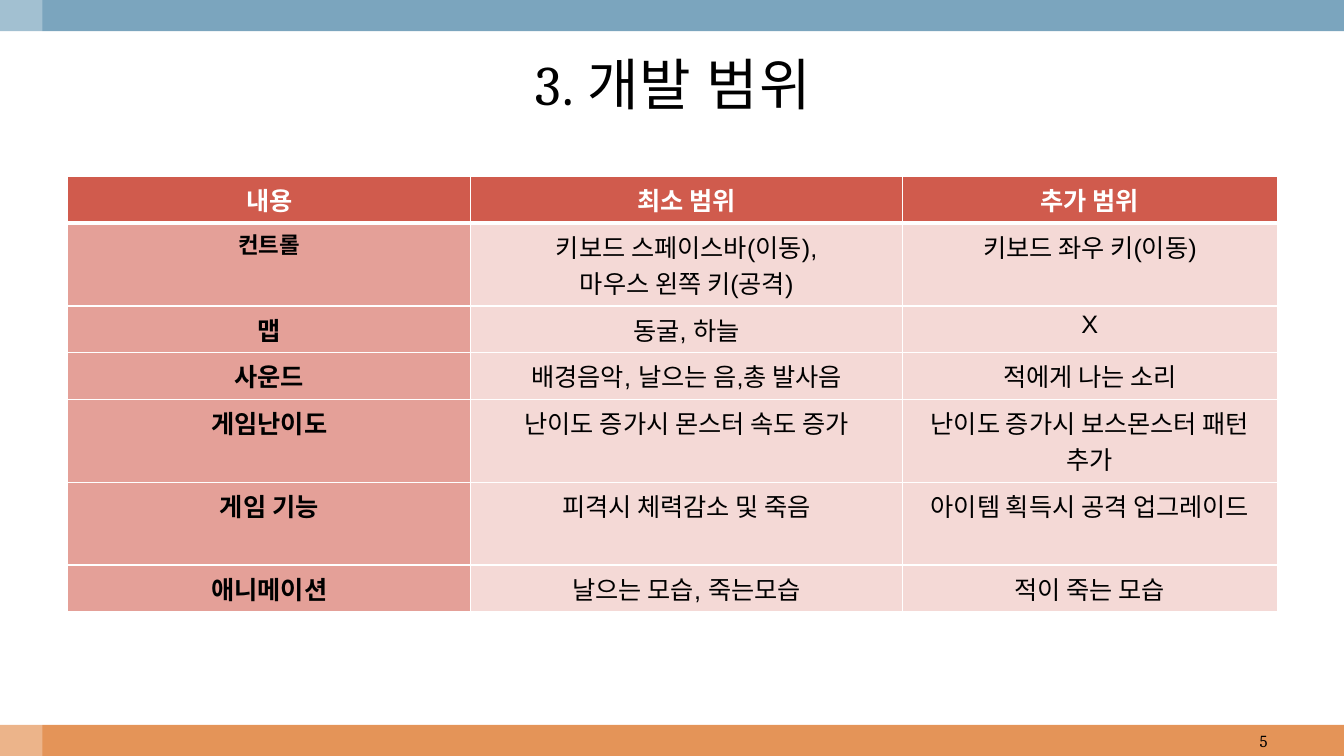
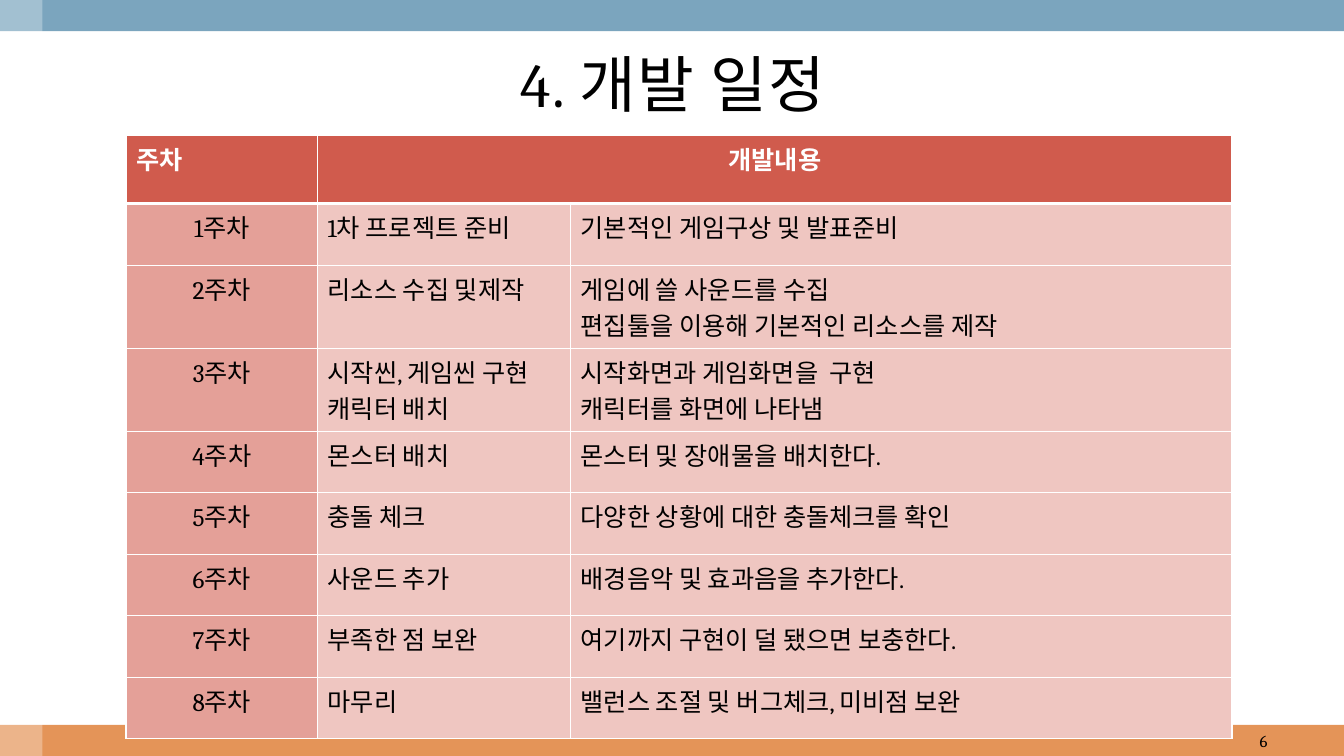
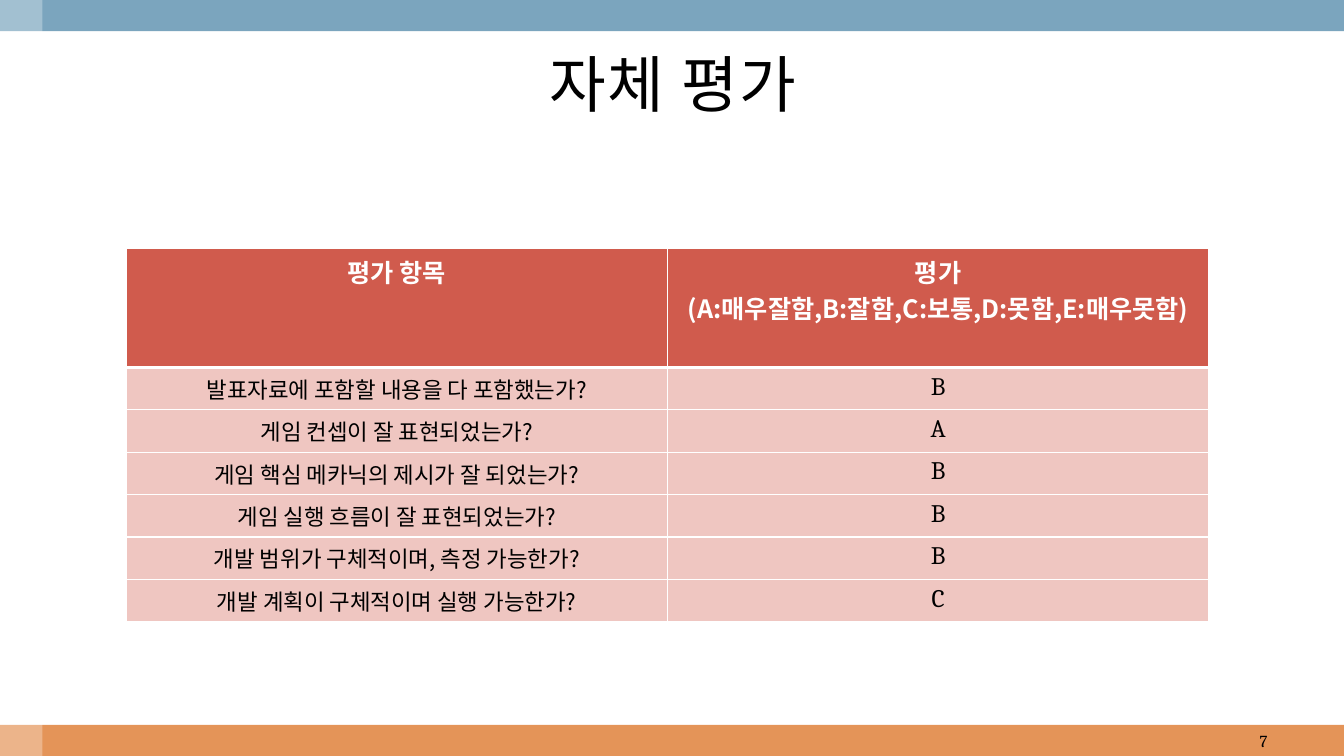
from lxml import etree
from pptx import Presentation
from pptx.dml.color import RGBColor
from pptx.enum.text import MSO_ANCHOR, MSO_AUTO_SIZE, PP_ALIGN
from pptx.enum.shapes import MSO_SHAPE
from pptx.oxml.ns import qn
from pptx.util import Inches, Pt

LEFT, MID, RIGHT = PP_ALIGN.LEFT, PP_ALIGN.CENTER, PP_ALIGN.RIGHT
TOP, CENTRE = MSO_ANCHOR.TOP, MSO_ANCHOR.MIDDLE
RECT, FIXED = MSO_SHAPE.RECTANGLE, MSO_AUTO_SIZE.NONE

WIDE, HIGH, BAND = 13.33, 7.5, 0.31
SERIF, SANS, HANGUL = "Cambria", "Arial", "Noto Sans CJK KR"
HUES = {
    "ink": "000000", "white": "FFFFFF", "blue": "7BA5BE", "orange": "E49458",
    "head": "D05B4D", "key": "E4A098", "pale": "F4D9D6", "rose": "EFC6C1",
}


def style(fill, font=SERIF, size=18, bold=False, align=MID, ink="ink", anchor=TOP):
    return dict(fill=fill, font=font, size=size, bold=bold, align=align,
                ink=ink, anchor=anchor)


def header(**extra):
    return style("head", bold=True, ink="white", **extra)


# Content: heads and cols hold one style per column; odd restyles single cells
SLIDES = [
    dict(
        title="3. 개발 범위", size=40, page="5", at=(0.67, 1.75), inset=0.11,
        widths=[4, 4.28, 3.72], heights=[0.41, 0.41, 0.41, 0.33, 0.41, 0.82, 0.41],
        heads=[header()] * 3,
        cols=[style("key", bold=True), style("pale", SANS), style("pale", SANS)],
        odd={(1, 0): dict(size=16)},
        rows=[
            ("내용", "최소 범위", "추가 범위"),
            ("컨트롤", "키보드 스페이스바(이동),\n마우스 왼쪽 키(공격)", "키보드 좌우 키(이동)"),
            ("맵", "동굴, 하늘", "X"),
            ("사운드", "배경음악, 날으는 음,총 발사음", "적에게 나는 소리"),
            ("게임난이도", "난이도 증가시 몬스터 속도 증가", "난이도 증가시 보스몬스터 패턴 추가"),
            ("게임 기능", "피격시 체력감소 및 죽음", "아이템 획득시 공격 업그레이드"),
            ("애니메이션", "날으는 모습, 죽는모습", "적이 죽는 모습"),
        ],
    ),
    dict(
        title="4. 개발 일정", size=44, page="6", at=(1.25, 1.34), inset=0.1,
        widths=[1.9, 2.51, 6.56], heights=[0.68] + [0.61] * 8,
        heads=[header(align=LEFT), header(), header()],
        cols=[style("key"), style("rose", align=LEFT), style("rose", align=LEFT)],
        rows=[
            ("주차", "개발내용", None),
            ("1주차", "1차 프로젝트 준비", "기본적인 게임구상 및 발표준비"),
            ("2주차", "리소스 수집 및제작",
             "게임에 쓸 사운드를 수집\n편집툴을 이용해 기본적인 리소스를 제작"),
            ("3주차", "시작씬, 게임씬 구현\n캐릭터 배치",
             "시작화면과 게임화면을  구현\n캐릭터를 화면에 나타냄"),
            ("4주차", "몬스터 배치", "몬스터 및 장애물을 배치한다."),
            ("5주차", "충돌 체크", "다양한 상황에 대한 충돌체크를 확인"),
            ("6주차", "사운드 추가", "배경음악 및 효과음을 추가한다."),
            ("7주차", "부족한 점 보완", "여기까지 구현이 덜 됐으면 보충한다."),
            ("8주차", "마무리", "밸런스 조절 및 버그체크, 미비점 보완"),
        ],
    ),
    dict(
        title="자체 평가", size=44, page="7", at=(1.25, 2.46), inset=0.1,
        widths=[5.37] * 2, heights=[0.41] * 7,
        heads=[header(font=HANGUL)] * 2,
        cols=[style("rose", HANGUL, 16, anchor=CENTRE), style("rose")],
        rows=[
            ("평가 항목", "평가\n(A:매우잘함,B:잘함,C:보통,D:못함,E:매우못함)"),
            ("발표자료에 포함할 내용을 다 포함했는가?", "B"),
            ("게임 컨셉이 잘 표현되었는가?", "A"),
            ("게임 핵심 메카닉의 제시가 잘 되었는가?", "B"),
            ("게임 실행 흐름이 잘 표현되었는가?", "B"),
            ("개발 범위가 구체적이며, 측정 가능한가?", "B"),
            ("개발 계획이 구체적이며 실행 가능한가?", "C"),
        ],
    ),
]


def paint(fill, hue):
    fill.solid()
    fill.fore_color.rgb = RGBColor.from_string(HUES[hue])


def place(shape, *box):
    shape.left, shape.top, shape.width, shape.height = map(Inches, box)


def write(frame, text, look, space=None):
    """Fill a text frame, one paragraph to each line of text."""
    for i, line in enumerate(text.split("\n")):
        para = frame.add_paragraph() if i else frame.paragraphs[0]
        para.alignment = look["align"]
        run = para.add_run()
        run.text = line
        font = run.font
        font.name, font.size, font.bold = look["font"], Pt(look["size"]), look["bold"]
        font.color.rgb = RGBColor.from_string(HUES[look["ink"]])
        props = run._r.get_or_add_rPr()
        props.find(qn("a:latin")).addnext(
            props.makeelement(qn("a:ea"), {"typeface": HANGUL}))
        if space:
            props.set("spc", str(space))


def edge(cell, sides):
    """Draw white cell borders; sides maps L, R, T, B to points."""
    props = cell._tc.get_or_add_tcPr()
    for i, (side, width) in enumerate(sides.items()):
        line = props.makeelement(qn("a:ln" + side), {"w": str(Pt(width))})
        solid = etree.SubElement(line, qn("a:solidFill"))
        etree.SubElement(solid, qn("a:srgbClr"), val=HUES["white"])
        props.insert(i, line)


def add_bands(deck, slide):
    """Draw the shared bands and move them to the master."""
    tree = deck.slide_master.shapes.element
    bands = [((0, HIGH - BAND, WIDE, BAND), "orange", None),
             ((0, 0, WIDE, BAND), "blue", None),
             ((0, 0, 0.42, HIGH), "white", 30)]
    for i, (box, hue, alpha) in enumerate(bands):
        band = slide.shapes.add_shape(RECT, *map(Inches, box))
        band.shadow.inherit = False
        band.line.fill.background()
        paint(band.fill, hue)
        if alpha:
            tint = band.element.spPr.find(".//" + qn("a:srgbClr"))
            etree.SubElement(tint, qn("a:alpha"), val=str(alpha * 1000))
        tree.insert(2 + i, band.element)


def add_grid(slide, data):
    rows, widths, heights = data["rows"], data["widths"], data["heights"]
    box = (*data["at"], sum(widths), sum(heights))
    grid = slide.shapes.add_table(len(rows), len(widths), *map(Inches, box)).table
    grid.first_row = grid.horz_banding = False
    for col, width in zip(grid.columns, widths):
        col.width = Inches(width)
    for row, height in zip(grid.rows, heights):
        row.height = Inches(height)
    for r, texts in enumerate(rows):
        looks = data["cols"] if r else data["heads"]
        for c, text in enumerate(texts):
            cell = grid.cell(r, c)
            look = looks[c] | data.get("odd", {}).get((r, c), {})
            paint(cell.fill, look["fill"])
            edge(cell, dict(L=1, R=1, B=1) if r else dict(L=1, R=1, T=1, B=3))
            cell.margin_left = cell.margin_right = Inches(data["inset"])
            cell.vertical_anchor = look["anchor"]
            if text is None:
                grid.cell(r, c - 1).merge(cell)
            else:
                write(cell.text_frame, text, look)


def add_slide(deck, data):
    slide = deck.slides.add_slide(deck.slide_layouts[5])
    add_grid(slide, data)
    # Title
    title = slide.shapes.title
    place(title, 0.44, BAND, 12.47, 1.03)
    frame = title.text_frame
    frame.auto_size, frame.vertical_anchor = FIXED, CENTRE
    write(frame, data["title"], style(None, size=data["size"]), space=100)
    # Page number
    foot = slide.shapes.add_textbox(*map(Inches, (9.56, HIGH - BAND, 3.11, BAND)))
    foot.text_frame.word_wrap = True
    foot.text_frame.vertical_anchor = CENTRE
    write(foot.text_frame, data["page"], style(None, size=12, align=RIGHT))
    return slide


def main():
    deck = Presentation()
    deck.slide_width, deck.slide_height = Inches(WIDE), Inches(HIGH)
    slides = [add_slide(deck, data) for data in SLIDES]
    add_bands(deck, slides[0])
    deck.save("out.pptx")


if __name__ == "__main__":
    main()
